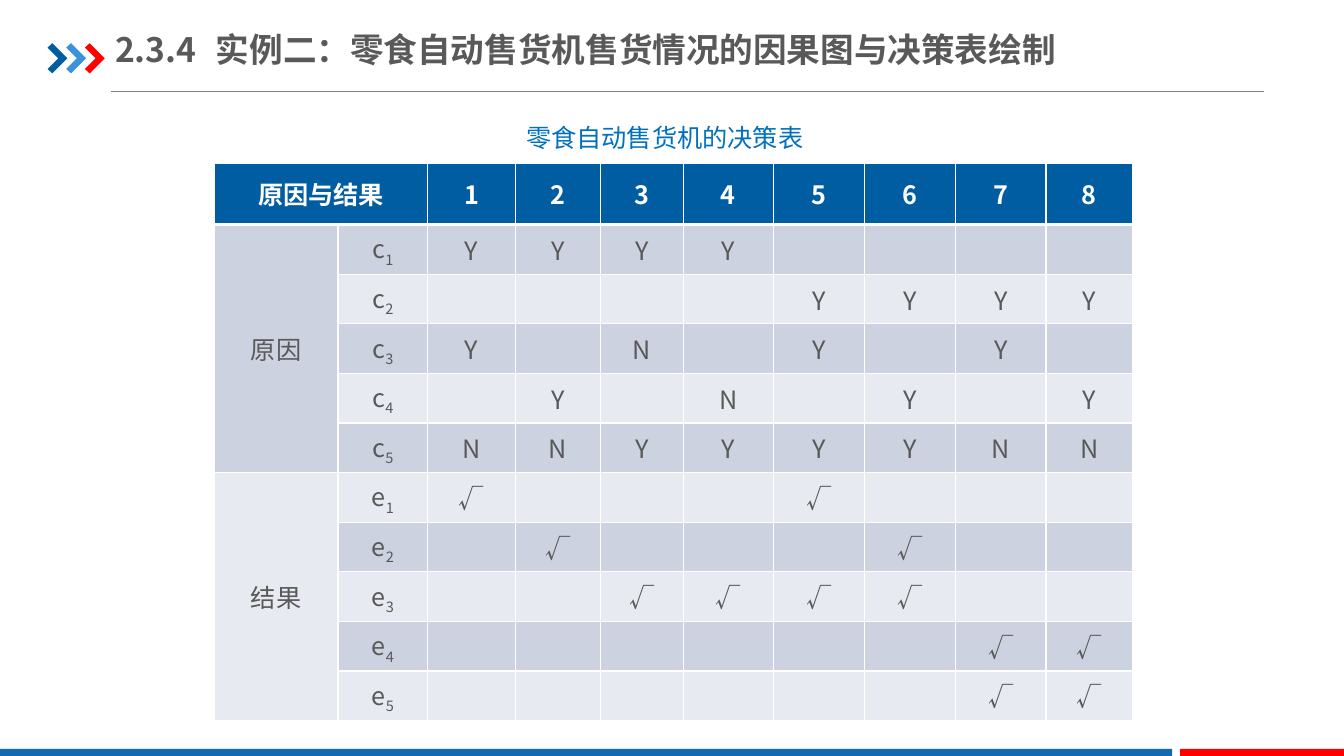
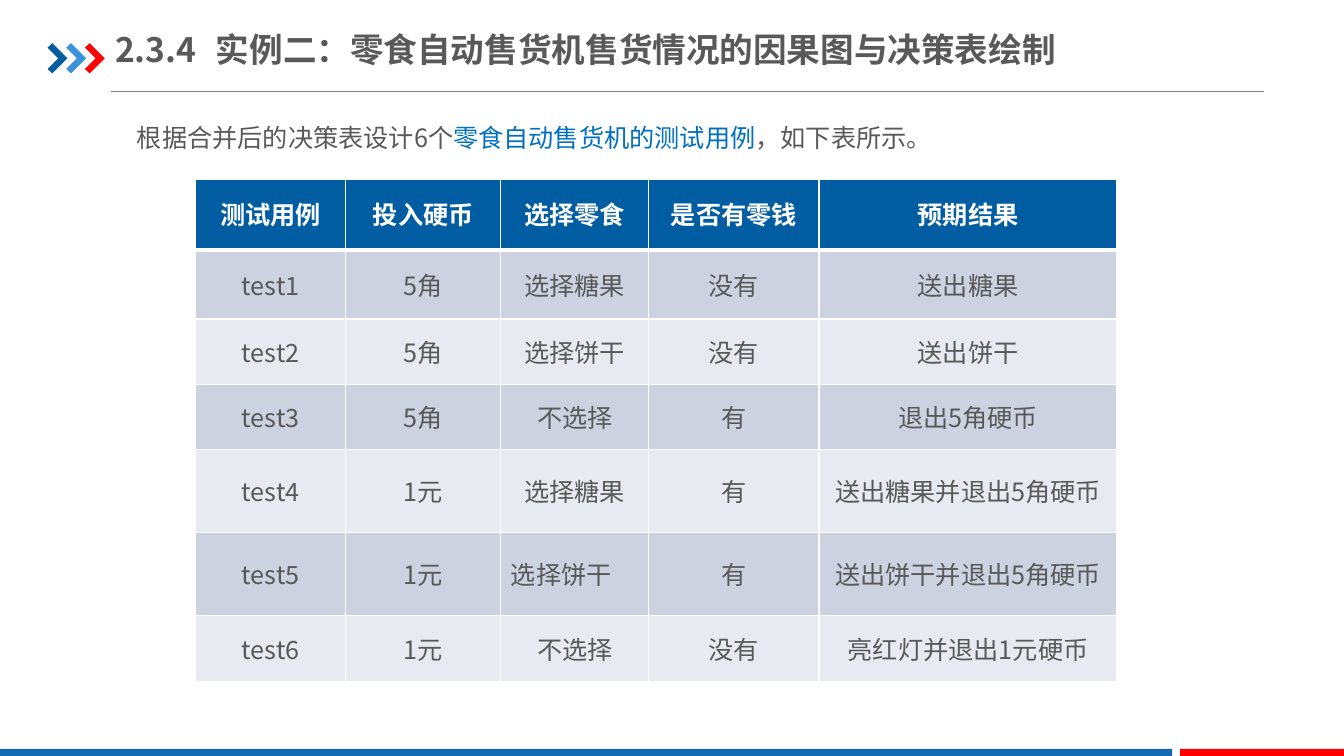
"""Build two slides with the decision table and test cases of a snack vending machine."""
from dataclasses import dataclass
from typing import NamedTuple

from lxml import etree
from pptx import Presentation
from pptx.dml.color import RGBColor
from pptx.enum.shapes import MSO_CONNECTOR, MSO_SHAPE
from pptx.enum.text import MSO_ANCHOR, PP_ALIGN
from pptx.oxml.ns import qn
from pptx.util import Cm, Pt

STRAIGHT = MSO_CONNECTOR.STRAIGHT
RECTANGLE = MSO_SHAPE.RECTANGLE
TOP, MIDDLE = MSO_ANCHOR.TOP, MSO_ANCHOR.MIDDLE
LEFT, CENTER, JUSTIFY = PP_ALIGN.LEFT, PP_ALIGN.CENTER, PP_ALIGN.JUSTIFY


@dataclass(frozen=True)
class Theme:
    font: str = "Noto Sans CJK SC"
    title_size: float = 24
    body_size: float = 18
    ink: str = "595959"
    accent: str = "0070C0"
    white: str = "FFFFFF"
    red: str = "FF0000"
    header: str = "005DA2"
    sky: str = "3992DB"
    footer: str = "1369B2"
    rule: str = "808080"
    dark_band: str = "CCD2E0"
    light_band: str = "E7EAF0"
    grid_line: float = 1
    header_line: float = 3


THEME = Theme()


class Box(NamedTuple):
    left: float
    top: float
    width: float
    height: float

    def lengths(self) -> tuple:
        return tuple(Cm(value) for value in self)


class Span(NamedTuple):
    text: str
    color: str = THEME.ink
    size: float = THEME.body_size
    bold: bool = False
    subscript: bool = False


class Entry(NamedTuple):
    spans: tuple = ()
    align: PP_ALIGN = CENTER


class Bar(NamedTuple):
    box: Box
    color: str


class Grid(NamedTuple):
    left: float
    top: float
    columns: tuple
    rows: tuple
    entries: list
    merges: tuple = ()


TITLE = "2.3.4\t实例二：零食自动售货机售货情况的因果图与决策表绘制"
TITLE_BOX = Box(2.9, 0.53, 24.43, 1.4)
FOOTER_BARS = (
    Bar(Box(0, 18.87, 29.54, 0.23), THEME.footer),
    Bar(Box(29.74, 18.87, 4.14, 0.23), THEME.red),
)
CHEVRON_COLORS = (THEME.header, THEME.sky, THEME.red)
CHEVRON_OUTLINE = ((0, 0.11), (0.12, 0), (0.5, 0.38), (0.12, 0.76), (0, 0.65), (0.27, 0.38))
CHEVRON_LEFT, CHEVRON_TOP, CHEVRON_PITCH = 1.2, 1.09, 0.47

DECISIONS = (
    ("c1", "YYYY...."),
    ("c2", "....YYYY"),
    ("c3", "Y.N.Y.Y."),
    ("c4", ".Y.N.Y.Y"),
    ("c5", "NNYYYYNN"),
    ("e1", "√...√..."),
    ("e2", ".√...√.."),
    ("e3", "..√√√√.."),
    ("e4", "......√√"),
    ("e5", "......√√"),
)
GROUP_NAMES = {0: "原因", 5: "结果"}
TEST_HEADINGS = ("测试用例", "投入硬币", "选择零食", "是否有零钱", "预期结果")
TEST_CASES = (
    ("test1", "5角", "选择糖果", "没有", "送出糖果"),
    ("test2", "5角", "选择饼干", "没有", "送出饼干"),
    ("test3", "5角", "不选择", "有", "退出5角硬币"),
    ("test4", "1元", "选择糖果", "有", "送出糖果并退出5角硬币"),
    ("test5", "1元", "选择饼干", "有", "送出饼干并退出5角硬币"),
    ("test6", "1元", "不选择", "没有", "亮红灯并退出1元硬币"),
)


def paint(shape, color: str) -> None:
    shape.shadow.inherit = False
    shape.fill.solid()
    shape.fill.fore_color.rgb = RGBColor.from_string(color)
    shape.line.fill.background()


def write(paragraph, spans: tuple, align: PP_ALIGN, spacing: float) -> None:
    for attribute, value in {"alignment": align, "line_spacing": spacing}.items():
        setattr(paragraph, attribute, value)
    for span in spans:
        run = paragraph.add_run()
        run.text = span.text
        run.font.color.rgb = RGBColor.from_string(span.color)
        formats = {"name": THEME.font, "size": Pt(span.size), "bold": span.bold}
        for attribute, value in formats.items():
            setattr(run.font, attribute, value)
        properties = run._r.get_or_add_rPr()
        etree.SubElement(properties, qn("a:ea")).set("typeface", THEME.font)
        if span.subscript:
            properties.set("baseline", "-25000")


def add_text(slide, box: Box, spans: tuple, align: PP_ALIGN, spacing: float,
             anchor: MSO_ANCHOR, side_inset: float) -> None:
    frame = slide.shapes.add_textbox(*box.lengths()).text_frame
    formats = {
        "word_wrap": True,
        "vertical_anchor": anchor,
        "margin_left": Cm(side_inset),
        "margin_right": Cm(side_inset),
        "margin_top": Cm(0.18),
        "margin_bottom": Cm(0.18),
    }
    for attribute, value in formats.items():
        setattr(frame, attribute, value)
    write(frame.paragraphs[0], spans, align, spacing)


def add_intro(slide, box: Box, *spans: Span) -> None:
    add_text(slide, box, spans, JUSTIFY, 1.5, TOP, 0.33)


def add_frame(slide) -> None:
    rule = slide.shapes.add_connector(STRAIGHT, Cm(2.8), Cm(2.31), Cm(31.85), Cm(2.31))
    rule.line.color.rgb = RGBColor.from_string(THEME.rule)
    rule.line.width = Pt(0.75)
    etree.SubElement(rule._element.spPr, qn("a:effectLst"))

    chevrons = slide.shapes.add_group_shape()
    for index, color in enumerate(CHEVRON_COLORS):
        left = CHEVRON_LEFT + index * CHEVRON_PITCH
        points = [(Cm(left + x), Cm(CHEVRON_TOP + y)) for x, y in CHEVRON_OUTLINE]
        outline = chevrons.shapes.build_freeform(*points[0])
        outline.add_line_segments(points[1:], close=True)
        paint(outline.convert_to_shape(), color)

    for bar in FOOTER_BARS:
        paint(slide.shapes.add_shape(RECTANGLE, *bar.box.lengths()), bar.color)

    heading = Span(TITLE, size=THEME.title_size, bold=True)
    add_text(slide, TITLE_BOX, (heading,), LEFT, 1.0, MIDDLE, 0)


def add_borders(cell, row: int) -> None:
    widths = dict.fromkeys(("lnL", "lnR", "lnT", "lnB"), THEME.grid_line)
    if row < 2:
        widths["lnB" if row == 0 else "lnT"] = THEME.header_line
    properties = cell._tc.get_or_add_tcPr()
    for side, width in widths.items():
        line = etree.SubElement(properties, qn(f"a:{side}"), w=str(Pt(width)))
        fill = etree.SubElement(line, qn("a:solidFill"))
        etree.SubElement(fill, qn("a:srgbClr"), val=THEME.white)


def add_grid(slide, grid: Grid) -> None:
    box = Box(grid.left, grid.top, sum(grid.columns), sum(grid.rows))
    table = slide.shapes.add_table(len(grid.rows), len(grid.columns), *box.lengths()).table
    table.horz_banding = False
    for column, width in zip(table.columns, grid.columns):
        column.width = Cm(width)
    for row, height in zip(table.rows, grid.rows):
        row.height = Cm(height)
    for first, last in grid.merges:
        table.cell(*first).merge(table.cell(*last))

    for row, entries in enumerate(grid.entries):
        band = THEME.dark_band if row % 2 else THEME.light_band
        for column, entry in enumerate(entries):
            cell = table.cell(row, column)
            if cell.is_spanned:
                continue
            add_borders(cell, row)
            cell.fill.solid()
            cell.fill.fore_color.rgb = RGBColor.from_string(band if row else THEME.header)
            cell.vertical_anchor = MIDDLE
            write(cell.text_frame.paragraphs[0], entry.spans, entry.align, 1.0 if row else 0.9)


def header_entries(*names: str) -> list[Entry]:
    return [Entry((Span(name, THEME.white, bold=True),)) for name in names]


def body_entry(text: str, align: PP_ALIGN = CENTER) -> Entry:
    return Entry((Span(text),) if text else (), align)


def decision_grid() -> Grid:
    entries = [header_entries("原因与结果", "", *"12345678")]
    for index, ((letter, number), marks) in enumerate(DECISIONS):
        label = Entry((Span(letter), Span(number, subscript=True)))
        group = body_entry(GROUP_NAMES.get(index, ""))
        entries.append([group, label, *(body_entry(mark.strip(".")) for mark in marks)])
    return Grid(
        5.4, 4.13,
        (3.12, 2.26, 2.21, 2.14, 2.09, 2.27, 2.29, 2.31, 2.27, 2.18),
        (1.53, *[1.25] * len(DECISIONS)),
        entries,
        (((0, 0), (0, 1)), ((1, 0), (5, 0)), ((6, 0), (10, 0))),
    )


def test_grid() -> Grid:
    entries = [header_entries(*TEST_HEADINGS)]
    for case in TEST_CASES:
        entries.append([body_entry(text) for text in case])
    entries[5][2] = body_entry(TEST_CASES[4][2], LEFT)
    return Grid(
        4.93, 4.53,
        (3.78, 3.91, 3.73, 4.29, 7.51),
        (1.77, 1.74, 1.64, 1.64, 2.09, 2.09, 1.67),
        entries,
    )


def main() -> None:
    deck = Presentation()
    deck.slide_width, deck.slide_height = Cm(33.87), Cm(19.05)
    blank = deck.slide_layouts[6]

    decisions = deck.slides.add_slide(blank)
    add_frame(decisions)
    add_intro(decisions, Box(12.93, 2.51, 8.13, 1.6), Span("零食自动售货机的决策表", THEME.accent))
    add_grid(decisions, decision_grid())

    tests = deck.slides.add_slide(blank)
    add_frame(tests)
    add_intro(
        tests, Box(3.12, 2.51, 26.97, 1.85),
        Span("根据合并后的决策表设计6个"),
        Span("零食自动售货机的测试用例", THEME.accent),
        Span("，如下表所示。"),
    )
    add_grid(tests, test_grid())

    deck.save("out.pptx")


if __name__ == "__main__":
    main()
